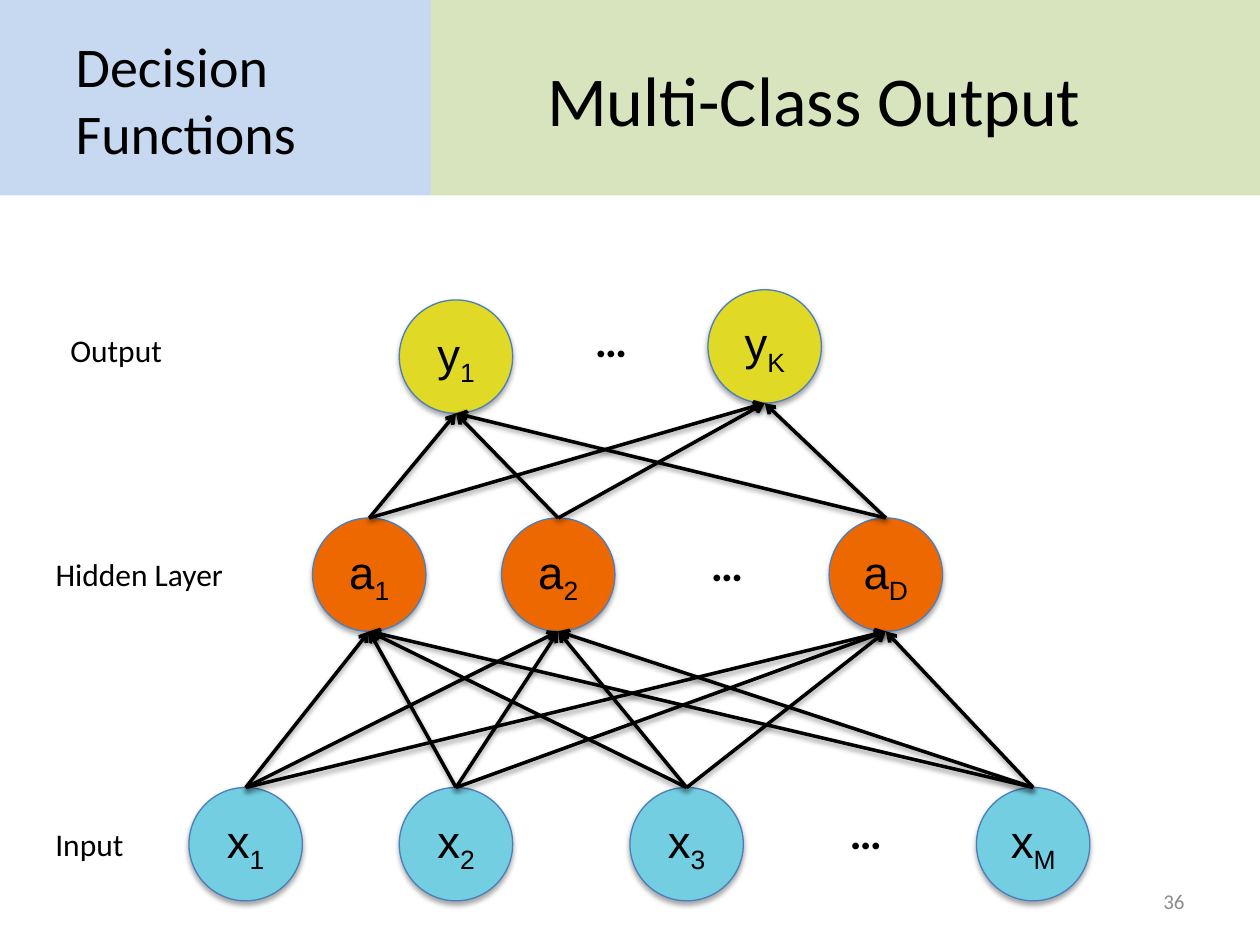
from itertools import product

from lxml import etree
from pptx import Presentation
from pptx.dml.color import RGBColor
from pptx.enum import shapes, text
from pptx.oxml import ns
from pptx.util import Pt

BLACK = RGBColor(0x00, 0x00, 0x00)
GRAY = RGBColor(0x8C, 0x8C, 0x8C)
SKY = RGBColor(0xC6, 0xD9, 0xF1)
SAGE = RGBColor(0xD7, 0xE4, 0xBD)
CYAN = RGBColor(0x72, 0xCE, 0xE0)
ORANGE = RGBColor(0xEE, 0x68, 0x02)
YELLOW = RGBColor(0xE0, 0xD9, 0x25)
OUTLINE = RGBColor(0x4B, 0x7E, 0xBC)

NODE = 64.8
INPUT_TOP = 450
HIDDEN_TOP = 296
LEFT, CENTER, RIGHT = text.PP_ALIGN.LEFT, text.PP_ALIGN.CENTER, text.PP_ALIGN.RIGHT
TOP, MIDDLE = text.MSO_ANCHOR.TOP, text.MSO_ANCHOR.MIDDLE


def child(parent, tag, **attributes):
    return etree.SubElement(parent, ns.qn(tag), **attributes)


def add_shadow(owner, distance, opacity):
    effects = child(owner.element.spPr, "a:effectLst")
    shadow = child(effects, "a:outerShdw", blurRad=str(Pt(3.1)), dist=str(Pt(distance)),
                   dir="5400000", rotWithShape="0")
    color = child(shadow, "a:srgbClr", val="000000")
    child(color, "a:alpha", val=str(opacity * 1000))


def write(holder, words, size=18, font="Calibri", color=BLACK, bold=False,
          align=LEFT, anchor=MIDDLE, subscript="", wrap=True):
    frame = holder.text_frame
    frame.auto_size = text.MSO_AUTO_SIZE.NONE
    frame.word_wrap = wrap
    frame.vertical_anchor = anchor
    paragraph = frame.paragraphs[0]
    paragraph.alignment = align
    paragraph.space_before = Pt(0)
    for part in filter(None, (words, subscript)):
        run = paragraph.add_run()
        run.text = part
        run.font.size = Pt(size)
        run.font.name = font
        run.font.bold = bold
        run.font.color.rgb = color
    if subscript:
        run.font._element.set("baseline", "-25000")


def place(holder, left, top, width, height):
    holder.left, holder.top = Pt(left), Pt(top)
    holder.width, holder.height = Pt(width), Pt(height)


def add_label(slide, words, left, top, width, height, **style):
    label = slide.shapes.add_textbox(Pt(left), Pt(top), Pt(width), Pt(height))
    write(label, words, **style)


def add_panel(slide, left, width, color):
    panel = slide.shapes.add_shape(shapes.MSO_SHAPE.RECTANGLE, Pt(left), 0, Pt(width), Pt(111.6))
    panel.fill.solid()
    panel.fill.fore_color.rgb = color
    panel.line.fill.background()
    panel.shadow.inherit = False
    slide.shapes.title.element.addprevious(panel.element)


def add_header(slide):
    add_panel(slide, 0, 246.2, SKY)
    add_panel(slide, 246.2, 473.8, SAGE)
    title = slide.shapes.title
    place(title, 246.2, 11.5, 437.8, 90)
    write(title, "Multi-Class Output", size=40, align=CENTER)
    section = slide.placeholders[1]
    place(section, 36, 11.5, 210.2, 90)
    properties = section.text_frame.paragraphs[0]._p.get_or_add_pPr()
    properties.set("marL", "0")
    properties.set("indent", "0")
    child(properties, "a:buNone")
    write(section, "Decision Functions", size=32)


def add_node(slide, letter, subscript, left, top, color):
    node = slide.shapes.add_shape(shapes.MSO_SHAPE.FLOWCHART_CONNECTOR,
                                  Pt(left), Pt(top), Pt(NODE), Pt(NODE))
    node.fill.solid()
    node.fill.fore_color.rgb = color
    node.line.color.rgb = OUTLINE
    node.line.width = Pt(0.75)
    add_shadow(node, 1.8, 35)
    write(node, letter, size=26, font="Arial", align=CENTER, subscript=subscript, wrap=False)
    return node


def add_layer(slide, letter, color, spots):
    return [add_node(slide, letter, subscript, left, top, color)
            for subscript, left, top in spots]


def add_edge(slide, upper, lower):
    edge = slide.shapes.add_connector(
        shapes.MSO_CONNECTOR.STRAIGHT,
        upper.left + upper.width // 2, upper.top + upper.height,
        lower.left + lower.width // 2, lower.top)
    edge.end_connect(lower, 0)
    edge.line.color.rgb = BLACK
    edge.line.width = Pt(2)
    child(edge.line._get_or_add_ln(), "a:headEnd", type="arrow")
    add_shadow(edge, 1.6, 38)


def main():
    deck = Presentation()
    deck.slide_width, deck.slide_height = Pt(720), Pt(540)
    slide = deck.slides.add_slide(deck.slide_layouts[1])
    add_header(slide)

    inputs = add_layer(slide, "x", CYAN, [
        ("1", 108, INPUT_TOP), ("2", 228.2, INPUT_TOP),
        ("3", 360, INPUT_TOP), ("M", 558, INPUT_TOP)])
    hidden = add_layer(slide, "a", ORANGE, [
        ("1", 178.6, HIDDEN_TOP), ("2", 286.6, HIDDEN_TOP), ("D", 473.8, HIDDEN_TOP)])
    outputs = add_layer(slide, "y", YELLOW, [("1", 228.2, 171.4), ("K", 404.6, 165.6)])

    for uppers, lowers in ((hidden, inputs), (outputs, hidden)):
        for upper, lower in product(uppers, lowers):
            add_edge(slide, upper, lower)

    for left, top in ((328.3, 174.2), (394.6, 302.4), (473.8, 455.8)):
        add_label(slide, "…", left, top, 41.8, 38.9, size=26, bold=True, align=CENTER)

    add_label(slide, "Output", 33.1, 185.8, 102.2, 28.8, anchor=TOP)
    add_label(slide, "Hidden Layer", -1.4, 313.9, 162, 28.8, align=CENTER, anchor=TOP)
    add_label(slide, "Input", 0, 468, 102.2, 28.8, align=CENTER, anchor=TOP)
    add_label(slide, "36", 516.2, 500.4, 167.8, 28.8, size=12, color=GRAY, align=RIGHT)

    deck.save("out.pptx")


if __name__ == "__main__":
    main()
